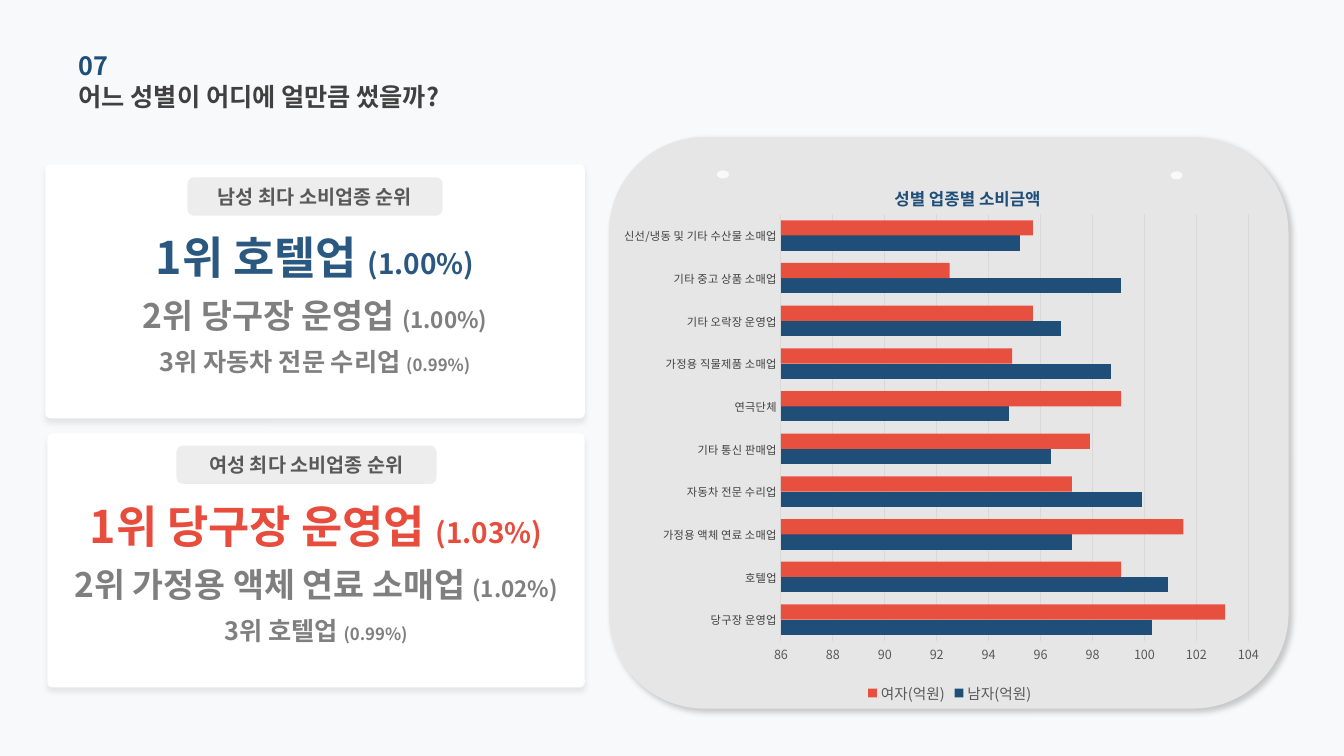
from dataclasses import dataclass

from lxml import etree
from pptx import Presentation
from pptx import util as u
from pptx.chart.data import CategoryChartData
from pptx.dml.color import RGBColor
from pptx.enum import chart as charts, shapes, text
from pptx.oxml import parse_xml
from pptx.oxml.ns import nsdecls, qn

PX = 9144  # EMU per px, 100 px to the inch
FONT = "Noto Sans CJK KR"

PAPER = RGBColor(0xF8, 0xF9, 0xFA)
WHITE = RGBColor(0xFF, 0xFF, 0xFF)
PANEL = RGBColor(0xE7, 0xE6, 0xE6)
PILL = RGBColor(0xD0, 0xCE, 0xCE)
NAVY = RGBColor(0x1F, 0x4E, 0x79)
BLUE = RGBColor(0x2B, 0x58, 0x80)
RED = RGBColor(0xE7, 0x4C, 0x3C)
INK = RGBColor(0x40, 0x40, 0x40)
SLATE = RGBColor(0x59, 0x59, 0x59)
GREY = RGBColor(0x7F, 0x7F, 0x7F)
RULE = RGBColor(0xD9, 0xD9, 0xD9)


@dataclass(frozen=True)
class Box:
    left: int
    top: int
    width: int
    height: int

    def emu(self) -> list[int]:
        return [n * PX for n in (self.left, self.top, self.width, self.height)]


@dataclass(frozen=True)
class Ranking:
    heading: str
    card: Box
    pill: Box
    accent: RGBColor
    ranks: tuple[tuple[str, str], ...]


RANKINGS = (
    Ranking("남성 최다 소비업종 순위", Box(45, 163, 535, 252), Box(186, 176, 253, 38), BLUE,
            (("1위 호텔업", "(1.00%)"), ("2위 당구장 운영업", "(1.00%)"),
             ("3위 자동차 전문 수리업", "(0.99%)"))),
    Ranking("여성 최다 소비업종 순위", Box(47, 430, 533, 252), Box(175, 442, 258, 38), RED,
            (("1위 당구장 운영업", "(1.03%)"), ("2위 가정용 액체 연료 소매업", "(1.02%)"),
             ("3위 호텔업", "(0.99%)"))),
)
RANK_SIZES = ((32, 20), (24, 16), (18, 12))  # name, share

SPENDING = (  # trade, men, women
    ("당구장 운영업", 100.3, 103.1),
    ("호텔업", 100.9, 99.1),
    ("가정용 액체 연료 소매업", 97.2, 101.5),
    ("자동차 전문 수리업", 99.9, 97.2),
    ("기타 통신 판매업", 96.4, 97.9),
    ("연극단체", 94.8, 99.1),
    ("가정용 직물제품 소매업", 98.7, 94.9),
    ("기타 오락장 운영업", 96.8, 95.7),
    ("기타 중고 상품 소매업", 99.1, 92.5),
    ("신선/냉동 및 기타 수산물 소매업", 95.2, 95.7),
)


def style(font, size: float, color: RGBColor, bold: bool = False) -> None:
    font.name, font.size, font.bold = FONT, u.Pt(size), bold
    font.color.rgb = color


def set_frame(frame, anchor) -> None:
    frame.auto_size = text.MSO_AUTO_SIZE.NONE
    frame.word_wrap = True
    frame.vertical_anchor = anchor
    frame.margin_left = frame.margin_right = frame.margin_top = frame.margin_bottom = 0


def place(shape, box: Box) -> None:
    shape.left, shape.top, shape.width, shape.height = box.emu()


def set_alpha(element, percent: int) -> None:
    color = next(element.iter(qn("a:srgbClr")))
    etree.SubElement(color, qn("a:alpha")).set("val", str(percent * 1000))


def add_plain(slide, kind, box: Box, color: RGBColor):
    shape = slide.shapes.add_shape(kind, *box.emu())
    shape.shadow.inherit = False
    shape.fill.solid()
    shape.fill.fore_color.rgb = color
    shape.line.fill.background()
    return shape


def add_shadow(shape, opacity: int, degrees: int) -> None:
    effects = next(shape.element.iter(qn("a:effectLst")))
    effects.append(parse_xml(
        f'<a:outerShdw {nsdecls("a")} blurRad="{u.Pt(4)}" dist="{u.Pt(3)}" dir="{degrees * 60000}" '
        f'rotWithShape="0"><a:srgbClr val="000000"><a:alpha val="{opacity * 1000}"/></a:srgbClr></a:outerShdw>'))


def write_line(frame, words: str, size: int, color: RGBColor, align) -> None:
    frame.text = words
    line = frame.paragraphs[0]
    line.alignment = align
    style(line.runs[0].font, size, color, True)


def add_ranking(slide, ranking: Ranking, ranks_body) -> None:
    card = add_plain(slide, shapes.MSO_SHAPE.ROUNDED_RECTANGLE, ranking.card, WHITE)
    card.adjustments[0] = 0.02
    add_shadow(card, 8, 90)
    pill = add_plain(slide, shapes.MSO_SHAPE.ROUNDED_RECTANGLE, ranking.pill, PILL)
    set_alpha(pill.element, 36)
    set_frame(pill.text_frame, text.MSO_ANCHOR.MIDDLE)
    write_line(pill.text_frame, ranking.heading, 14, SLATE, text.PP_ALIGN.CENTER)

    # The ranks lie on top of their card
    slide.shapes.element.append(ranks_body.element)
    place(ranks_body, Box(ranking.card.left, ranking.card.top + 65, ranking.card.width, 172))
    frame = ranks_body.text_frame
    set_frame(frame, text.MSO_ANCHOR.TOP)
    frame.text = "\n".join(name + " " for name, _ in ranking.ranks)
    for i, (line, sizes) in enumerate(zip(frame.paragraphs, RANK_SIZES)):
        line.alignment = text.PP_ALIGN.CENTER
        line.line_spacing = 1.0
        line.space_before = u.Pt(8 if i else 0)
        line.add_run().text = ranking.ranks[i][1]
        for run, size in zip(line.runs, sizes):
            style(run.font, size, GREY if i else ranking.accent, True)
        props = line._p.get_or_add_pPr()
        props.set("marL", "0")
        props.set("indent", "0")
        etree.SubElement(props, qn("a:buNone"))


def manual_layout(x: float, y: float, size: str = ""):
    return parse_xml(
        f'<c:layout {nsdecls("c")}><c:manualLayout>{"<c:layoutTarget val=%sinner%s/>" % (chr(34), chr(34)) if size else ""}'
        f'<c:xMode val="edge"/><c:yMode val="edge"/><c:x val="{x}"/><c:y val="{y}"/>{size}'
        f'</c:manualLayout></c:layout>')


def set_layout(parent, layout, position: int) -> None:
    for old in parent.findall(qn("c:layout")):
        parent.remove(old)
    parent.insert(position, layout)


def add_spending_chart(slide, box: Box):
    data = CategoryChartData(number_format="General")
    trades, men, women = zip(*SPENDING)
    data.categories = trades
    data.add_series("남자(억원)", men)
    data.add_series("여자(억원)", women)
    chart = slide.shapes.add_chart(charts.XL_CHART_TYPE.BAR_CLUSTERED, *box.emu(), data).chart
    style(chart.font, 10, INK)

    # Title and plot position
    chart.has_title = True
    title = chart.chart_title
    write_line(title.text_frame, "성별 업종별 소비금액", 12, NAVY, text.PP_ALIGN.CENTER)
    title.include_in_layout = False
    set_layout(next(chart.element.iter(qn("c:title"))), manual_layout(0.41, 0.05), 1)
    set_layout(next(chart.element.iter(qn("c:plotArea"))),
               manual_layout(0.24, 0.11, '<c:w val="0.72"/><c:h val="0.77"/>'), 0)

    # Bars
    bars = chart.plots[0]
    bars.gap_width, bars.overlap, bars.vary_by_categories = 80, 0, False
    for series, color in zip(bars.series, (NAVY, RED)):
        series.format.fill.solid()
        series.format.fill.fore_color.rgb = color
        series.invert_if_negative = False
    set_alpha(list(chart.element.iter(qn("c:ser")))[1], 98)

    # Axes and legend
    trade_axis, amount_axis = chart.category_axis, chart.value_axis
    for axis, size, color in ((trade_axis, 8, INK), (amount_axis, 9, SLATE)):
        style(axis.tick_labels.font, size, color)
        axis.major_tick_mark = axis.minor_tick_mark = charts.XL_TICK_MARK.NONE
    amount_axis.minimum_scale, amount_axis.maximum_scale, amount_axis.major_unit = 86, 104, 2
    amount_axis.format.line.fill.background()
    for line in (trade_axis.format.line, amount_axis.major_gridlines.format.line):
        line.color.rgb, line.width = RULE, u.Pt(0.75)
    chart.has_legend = True
    chart.legend.position = charts.XL_LEGEND_POSITION.BOTTOM
    chart.legend.include_in_layout = False
    style(chart.legend.font, 10.5, SLATE)
    return chart


def main() -> None:
    deck = Presentation()
    deck.slide_width, deck.slide_height = 1333 * PX, 750 * PX
    slide = deck.slides.add_slide(deck.slide_layouts[3])
    slide.background.fill.solid()
    slide.background.fill.fore_color.rgb = PAPER
    question, *rank_bodies = slide.placeholders

    # Heading
    number = slide.shapes.add_textbox(*Box(78, 44, 452, 41).emu())
    place(question, Box(78, 75, 452, 41))
    for part, words, color in ((number, "07", NAVY), (question, "어느 성별이 어디에 얼만큼 썼을까?", INK)):
        set_frame(part.text_frame, text.MSO_ANCHOR.MIDDLE)
        write_line(part.text_frame, words, 18, color, text.PP_ALIGN.LEFT)

    # Chart panel with two pinholes
    panel = add_plain(slide, shapes.MSO_SHAPE.ROUNDED_RECTANGLE, Box(604, 136, 674, 567), PANEL)
    add_shadow(panel, 20, 45)
    for left, top in ((711, 169), (1161, 170)):
        add_plain(slide, shapes.MSO_SHAPE.OVAL, Box(left, top, 12, 8), PAPER)

    # Rankings and chart
    for ranking, ranks_body in zip(RANKINGS, rank_bodies):
        add_ranking(slide, ranking, ranks_body)
    chart = add_spending_chart(slide, Box(619, 152, 645, 550))

    # Korean letters take the same font as Latin ones
    for root in (slide.element, chart.element):
        for latin in list(root.iter(qn("a:latin"))):
            latin.addnext(parse_xml(f'<a:ea {nsdecls("a")} typeface="{FONT}"/>'))
    deck.save("out.pptx")


if __name__ == "__main__":
    main()
